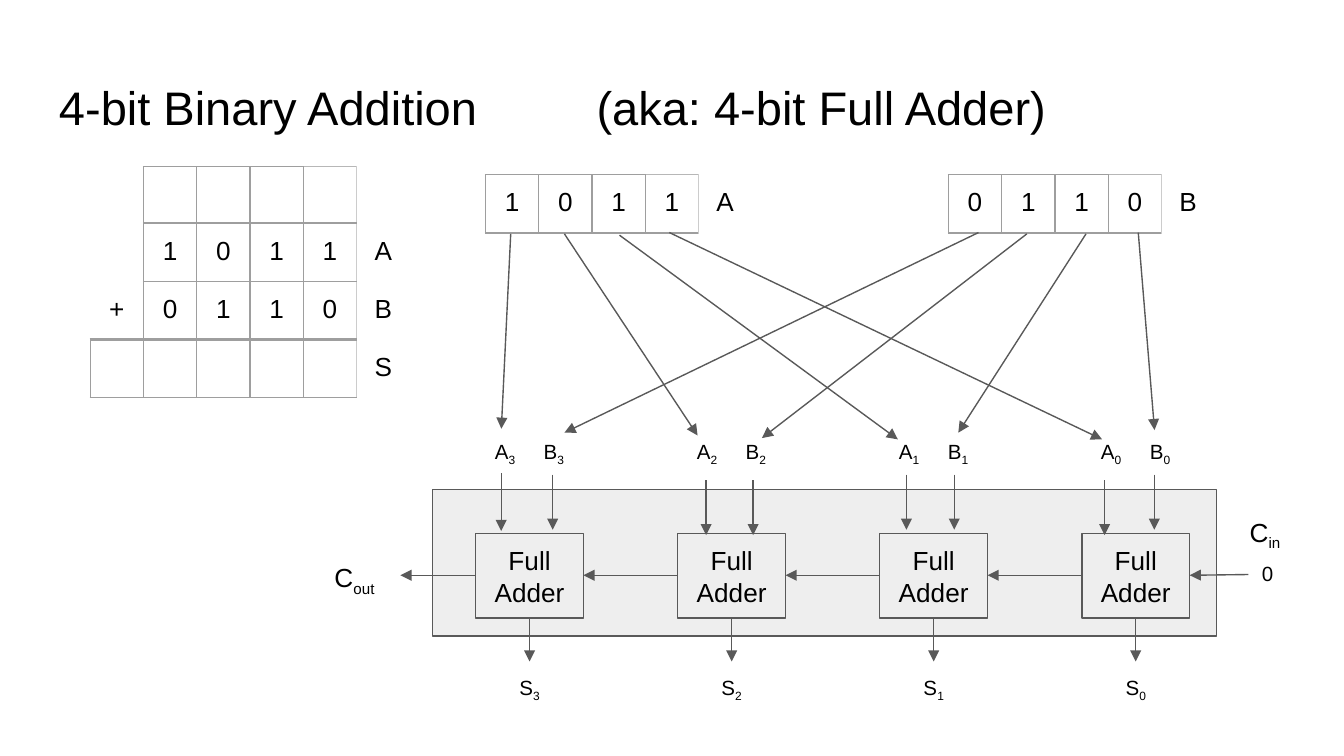
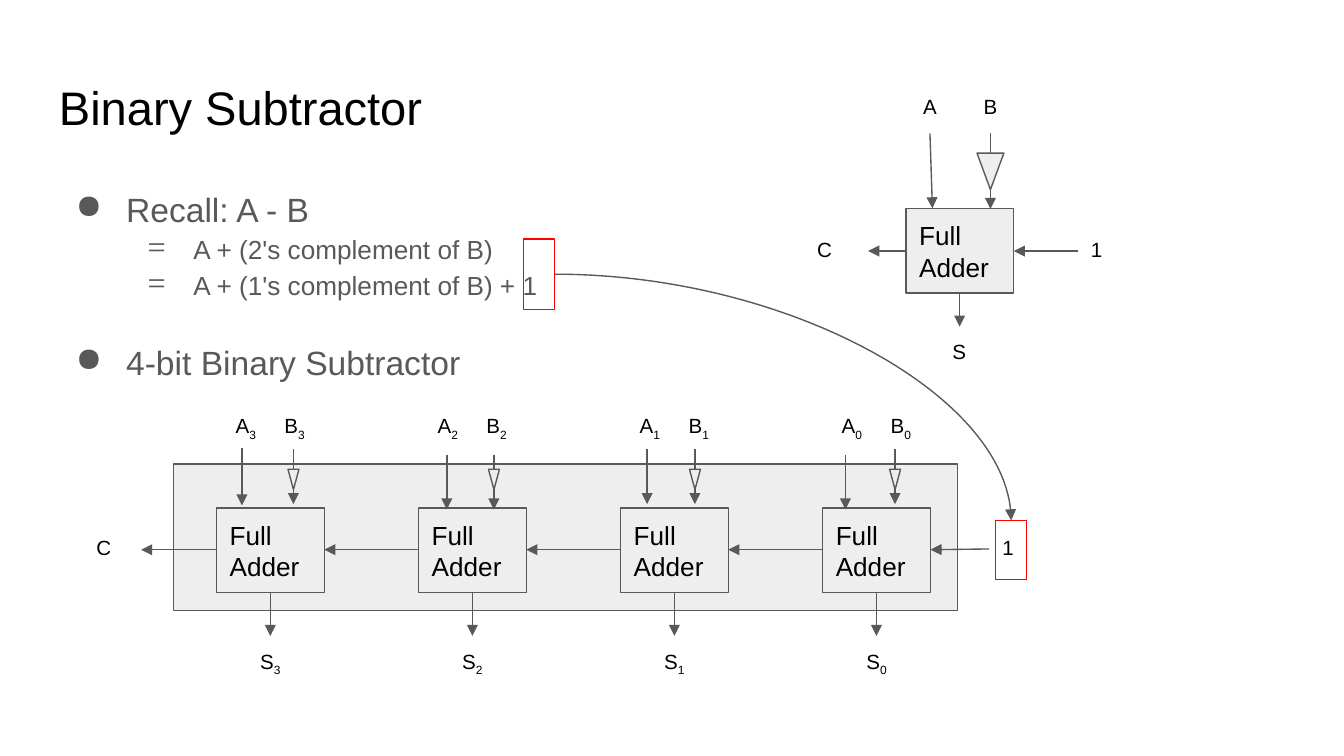
from dataclasses import dataclass

from lxml import etree
from pptx import Presentation
from pptx.dml.color import RGBColor
from pptx.enum.shapes import MSO_CONNECTOR, MSO_SHAPE
from pptx.enum.text import MSO_ANCHOR, MSO_AUTO_SIZE, PP_ALIGN
from pptx.oxml.ns import qn
from pptx.util import Pt

STRAIGHT, CURVE = MSO_CONNECTOR.STRAIGHT, MSO_CONNECTOR.CURVE
RECT, TRIANGLE = MSO_SHAPE.RECTANGLE, MSO_SHAPE.ISOSCELES_TRIANGLE
LEFT, CENTER = PP_ALIGN.LEFT, PP_ALIGN.CENTER
TOP, MIDDLE = MSO_ANCHOR.TOP, MSO_ANCHOR.MIDDLE
GROW = MSO_AUTO_SIZE.SHAPE_TO_FIT_TEXT

COLORS = {
    "ink": "000000",
    "gray": "595959",
    "panel": "EEEEEE",
    "mark": "FF0000",
    "grid": "9E9E9E",
    "soft": "B7B7B7",
    "pale": "CCCCCC",
}
FONT = "Arial"
INSET = 7.2
THIN = 0.75
COL_W, ROW_H = 28.56, 30.15
LAST_BIT = 4
ADDER_W, ADDER_H = 57.8, 45.2
ADDER_X, ADDER_Y, ADDER_STEP = 23, 23.75, 108.25
PANEL_W, PANEL_H = 420, 78.5
CARRY_Y = 46
LABEL_W, LABEL_H = 92.9, 28


@dataclass(frozen=True)
class Label:
    left: float
    top: float
    width: float
    runs: tuple[str, ...]
    size: float = 11
    align: PP_ALIGN = LEFT


@dataclass(frozen=True)
class Arrow:
    x1: float
    y1: float
    x2: float
    y2: float


@dataclass(frozen=True)
class Grid:
    left: float
    top: float
    rows: tuple[str, ...]
    sum_row: int = -1

    def boxed(self, row: int, col: int) -> bool:
        first = 0 if row == self.sum_row else 1
        return 0 <= row < len(self.rows) and first <= col <= LAST_BIT


@dataclass(frozen=True)
class Bullet:
    text: str
    mark: str
    size: float
    level: int
    margin: float
    indent: float
    before: float = 0


@dataclass(frozen=True)
class Inputs:
    a_x: float
    a_top: float
    a_tip: float
    b_x: float
    b_top: float
    b_tip: float


INPUTS = (
    Inputs(36.7, -8.6, 22.3, 64.3, -7.9, 21.6),
    Inputs(146.5, -5, 24.5, 171.7, -5, 24.5),
    Inputs(253.8, -7.9, 21.6, 279.4, -7.9, 21.6),
    Inputs(360, -5, 24.5, 386.6, -7.9, 21.6),
)
GRIDS = (
    Grid(48.3, 89.3, ("".ljust(6), " 1011A", "+0110B", "S".rjust(6)), 3),
    Grid(479.5, 93.6, (" 0110B",)),
    Grid(231.5, 93.6, (" 1011A",)),
)
BIT_ARROWS = (
    Arrow(273.6, 125.3, 268.6, 229.7),
    Arrow(302.4, 125.3, 373.7, 233.3),
    Arrow(331.9, 126, 481, 235.4),
    Arrow(358.6, 124.6, 590.4, 235.4),
    Arrow(524.2, 124.6, 302.4, 231.8),
    Arrow(550.1, 125.3, 408.2, 234.7),
    Arrow(581.8, 125.3, 513.4, 231.8),
    Arrow(609.8, 124.6, 618.5, 230.4),
)
ADDITION_LABELS = (
    Label(668.9, 293.8, 31.7, ("0",)),
    Label(172.1, 293.8, 40.3, ("C", "out"), 14),
    Label(662.4, 269.3, 37.4, ("C", "in"), 14),
)
SUBTRACTOR_LABELS = (
    Label(482.4, 43.9, 31.7, ("A",), align=CENTER),
    Label(514.8, 43.9, 31.7, ("B",), align=CENTER),
    Label(577.4, 120.2, 31.7, ("1",)),
    Label(467.5, 175, LABEL_W, ("S",), align=CENTER),
    Label(430.6, 120.2, 34.6, ("C",)),
    Label(529.9, 280.1, 31.7, ("1",)),
    Label(44.6, 280.1, 31.7, ("C",)),
)
ONE_BIT_ARROWS = (
    Arrow(530.6, 71.5, 530.6, 112),
    Arrow(498.2, 71.5, 499.5, 111.6),
    Arrow(577.4, 134.5, 543.1, 134.5),
    Arrow(514.1, 157, 514.1, 175),
    Arrow(485.3, 134.5, 465.1, 134.5),
)
BULLETS = (
    Bullet("Recall: A - B", "●", 18, 0, 36, -27),
    Bullet("A + (2's complement of B)", "=", 14, 1, 72, -25.2),
    Bullet("A + (1's complement of B) + 1", "=", 14, 1, 72, -25.2),
    Bullet("4-bit Binary Subtractor", "●", 18, 0, 36, -27, 18.5),
)


def rgb(name: str) -> RGBColor:
    return RGBColor.from_string(COLORS[name])


def style(p, size: float, color: str = "ink", align: PP_ALIGN = LEFT) -> None:
    p.alignment = align
    p.font.name = FONT
    p.font.size = Pt(size)
    p.font.color.rgb = rgb(color)


def add_tab(p, pos: float) -> None:
    tabs = etree.SubElement(p._p.get_or_add_pPr(), qn("a:tabLst"))
    etree.SubElement(tabs, qn("a:tab"), pos=str(int(Pt(pos))), algn="l")


def set_margins(frame, side: float = INSET, vertical: float = INSET) -> None:
    frame.margin_left = frame.margin_right = Pt(side)
    frame.margin_top = frame.margin_bottom = Pt(vertical)


def add_frame(slide, left: float, top: float, width: float, height: float):
    tf = slide.shapes.add_textbox(Pt(left), Pt(top), Pt(width), Pt(height)).text_frame
    tf.word_wrap = True
    tf.vertical_anchor = TOP
    set_margins(tf)
    return tf


def add_title(slide, text: str) -> None:
    p = add_frame(slide, 24.5, 35, 671, 45.4).paragraphs[0]
    add_tab(p, 288)
    p.add_run().text = text
    style(p, 25.2)


def add_runs(p, runs: tuple[str, ...]) -> None:
    for i, text in enumerate(runs):
        r = p.add_run()
        r.text = text
        if i % 2:
            r._r.get_or_add_rPr().set("baseline", "-25000")


def add_label(slide, label: Label):
    tf = add_frame(slide, label.left, label.top, label.width, LABEL_H)
    tf.auto_size = GROW
    p = tf.paragraphs[0]
    add_runs(p, label.runs)
    style(p, label.size, align=label.align)
    return tf


def add_input_label(slide, left: float, top: float, bit: str) -> None:
    tf = add_frame(slide, left, top, LABEL_W, LABEL_H)
    tf.margin_left = Pt(27.8)
    p = tf.paragraphs[0]
    add_tab(p, 26.2)
    add_runs(p, ("A", bit, "\tB", bit))
    style(p, 11)


def add_box(slide, left: float, top: float, width: float, height: float,
            shape: MSO_SHAPE = RECT, fill: str = "panel", line: str = "gray"):
    sp = slide.shapes.add_shape(shape, Pt(left), Pt(top), Pt(width), Pt(height))
    sp.shadow.inherit = False
    if fill:
        sp.fill.solid()
        sp.fill.fore_color.rgb = rgb(fill)
    else:
        sp.fill.background()
    sp.line.color.rgb = rgb(line)
    sp.line.width = Pt(THIN)
    return sp


def add_inverter(slide, center: float, top: float, width: float, height: float) -> None:
    add_box(slide, center - width / 2, top, width, height, TRIANGLE).rotation = 180


def add_adder(slide, left: float, top: float, align: PP_ALIGN) -> None:
    tf = add_box(slide, left, top, ADDER_W, ADDER_H).text_frame
    tf.word_wrap = True
    tf.vertical_anchor = MIDDLE
    set_margins(tf)
    p = tf.paragraphs[0]
    p.add_run().text = "Full"
    p.add_line_break()
    p.add_run().text = "Adder"
    style(p, 14, align=align)


def add_arrow(slide, arrow: Arrow, kind: MSO_CONNECTOR = STRAIGHT):
    c = slide.shapes.add_connector(kind, Pt(arrow.x1), Pt(arrow.y1), Pt(arrow.x2), Pt(arrow.y2))
    c.line.color.rgb = rgb("gray")
    c.line.width = Pt(THIN)
    props = c._element.spPr
    etree.SubElement(props.find(qn("a:ln")), qn("a:tailEnd"), type="triangle")
    etree.SubElement(props, qn("a:effectLst"))
    return c


def add_edge(cell, side: str, color: str, width: float) -> None:
    ln = etree.SubElement(cell._tc.get_or_add_tcPr(), qn(f"a:{side}"), w=str(int(Pt(width))))
    if color:
        fill = etree.SubElement(ln, qn("a:solidFill"))
        etree.SubElement(fill, qn("a:srgbClr"), val=COLORS[color])
    else:
        etree.SubElement(ln, qn("a:noFill"))


def add_edges(cell, grid: Grid, row: int, col: int) -> None:
    for side, dr, dc in (("lnL", 0, -1), ("lnR", 0, 1), ("lnT", -1, 0), ("lnB", 1, 0)):
        color, width = "", THIN
        if grid.boxed(row, col) or grid.boxed(row + dr, col + dc):
            color = "grid"
            if dc and max(col, col + dc) > LAST_BIT:
                color = "pale"
            elif side == "lnT" and row == 0 and col == LAST_BIT:
                color = "soft"
            if dr and max(row, row + dr) == grid.sum_row:
                width = 2.25 if col else 1.5
        add_edge(cell, side, color, width)


def add_grid(slide, grid: Grid) -> None:
    n, cols = len(grid.rows), len(grid.rows[0])
    table = slide.shapes.add_table(n, cols, Pt(grid.left), Pt(grid.top),
                                   Pt(COL_W * cols), Pt(ROW_H * n)).table
    table.first_row = table.horz_banding = False
    for column in table.columns:
        column.width = Pt(COL_W)
    for i, texts in enumerate(grid.rows):
        table.rows[i].height = Pt(ROW_H)
        for j, text in enumerate(texts):
            cell = table.cell(i, j)
            set_margins(cell, vertical=INSET if text.strip() else 0)
            add_edges(cell, grid, i, j)
            cell.fill.background()
            p = cell.text_frame.paragraphs[0]
            if text.strip():
                p.add_run().text = text
            style(p, 14, align=CENTER)


def add_adder_bank(slide, left: float, top: float, align: PP_ALIGN, inverted: bool) -> None:
    add_box(slide, left, top, PANEL_W, PANEL_H)
    carry_end, y = left - 17.3, top + CARRY_Y
    for i, pins in enumerate(INPUTS):
        x = left + ADDER_X + i * ADDER_STEP
        center, bit = x + ADDER_W / 2, str(len(INPUTS) - 1 - i)
        add_adder(slide, x, top + ADDER_Y, align)
        add_arrow(slide, Arrow(x, y, carry_end, y))
        carry_end = x + ADDER_W
        add_arrow(slide, Arrow(center, top + 68.6, center, top + 92.2))
        add_label(slide, Label(center - LABEL_W / 2, top + 92.2, LABEL_W, ("S", bit), align=CENTER))
        add_input_label(slide, center - LABEL_W / 2, top - 34.2, bit)
        a_x, b_x = left + pins.a_x, left + pins.b_x
        add_arrow(slide, Arrow(a_x, top + pins.a_top, a_x, top + pins.a_tip))
        add_arrow(slide, Arrow(b_x, top + pins.b_top, b_x, top + pins.b_tip))
        if inverted:
            add_inverter(slide, b_x, top + 2.9, 5.9, 10.9)
    add_arrow(slide, Arrow(left + 437, y - 0.4, carry_end, y))


def add_bullets(slide) -> None:
    tf = add_frame(slide, 24.5, 90.7, 671, 269.3)
    for i, item in enumerate(BULLETS):
        p = tf.add_paragraph() if i else tf.paragraphs[0]
        p.add_run().text = item.text
        p.level = item.level
        p.line_spacing = 1.15
        p.space_before = Pt(item.before)
        props = p._p.get_or_add_pPr()
        props.set("marL", str(int(Pt(item.margin))))
        props.set("indent", str(int(Pt(item.indent))))
        color = etree.SubElement(props, qn("a:buClr"))
        etree.SubElement(color, qn("a:srgbClr"), val=COLORS["gray"])
        etree.SubElement(props, qn("a:buChar"), char=item.mark)
        style(p, item.size, "gray")


def build_addition(slide) -> None:
    add_title(slide, "4-bit Binary Addition \t(aka: 4-bit Full Adder)")
    for grid in GRIDS:
        add_grid(slide, grid)
    add_adder_bank(slide, 231.8, 262.2, CENTER, False)
    for label in ADDITION_LABELS:
        add_label(slide, label)
    for arrow in BIT_ARROWS:
        add_arrow(slide, arrow)


def build_subtractor(slide) -> None:
    add_bullets(slide)
    add_title(slide, "Binary Subtractor")
    add_adder_bank(slide, 92.9, 248.5, LEFT, True)
    add_adder(slide, 485.3, 111.8, LEFT)
    for arrow in ONE_BIT_ARROWS:
        add_arrow(slide, arrow)
    add_inverter(slide, 530.6, 82, 14.4, 19.6)
    for label in SUBTRACTOR_LABELS:
        add_label(slide, label)
    add_box(slide, 280.5, 128, 16.6, 37.8, fill="", line="mark")
    add_box(slide, 533.4, 278.8, 16.6, 31.7, fill="", line="mark")
    c = add_arrow(slide, Arrow(297.2, 146.9, 541.7, 278.8), CURVE)
    c._element.spPr.find(qn("a:prstGeom")).set("prst", "curvedConnector2")


def main() -> None:
    prs = Presentation()
    prs.slide_width, prs.slide_height = Pt(720), Pt(405)
    for build in (build_addition, build_subtractor):
        build(prs.slides.add_slide(prs.slide_layouts[6]))
    prs.save("out.pptx")


if __name__ == "__main__":
    main()
